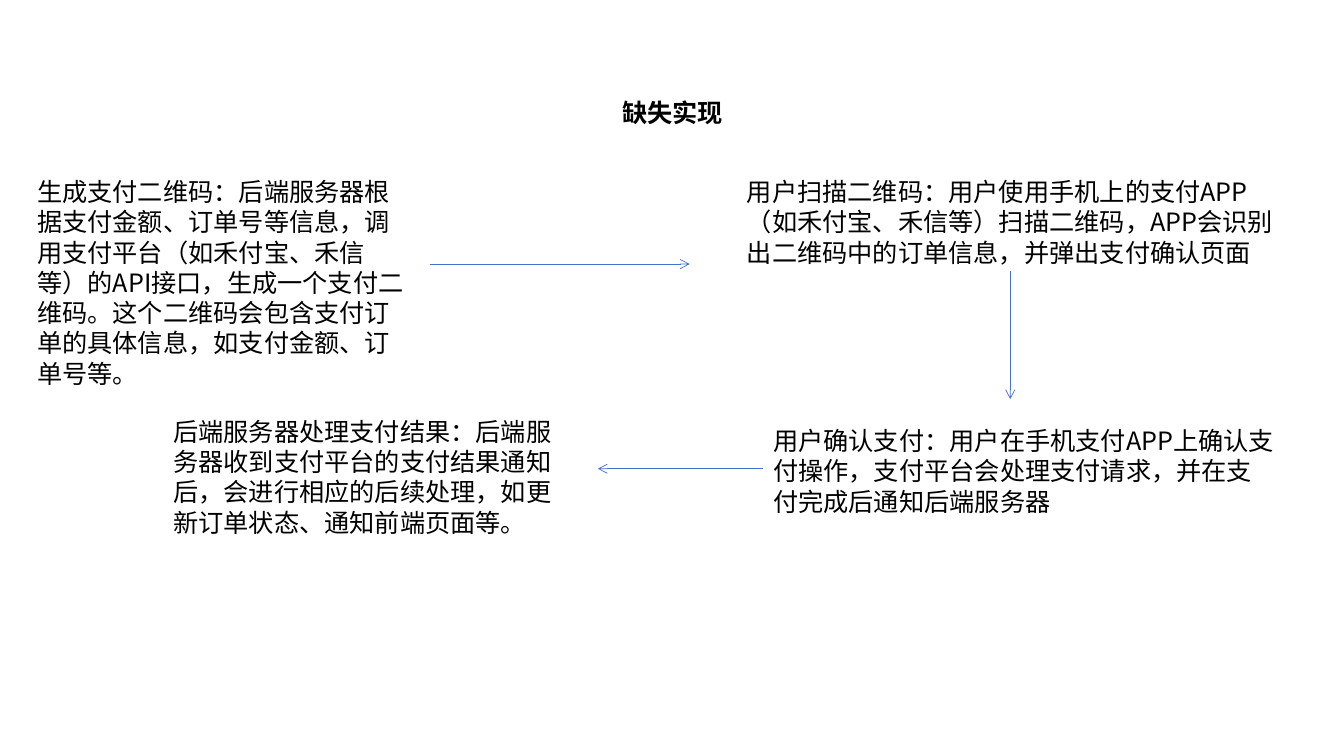
from lxml import etree
from pptx import Presentation
from pptx.dml.color import RGBColor
from pptx.enum import shapes, text
from pptx.oxml import ns
from pptx.util import Inches, Pt

FONT = "Noto Sans CJK SC"
BLACK = RGBColor(0x00, 0x00, 0x00)
BLUE = RGBColor(0x44, 0x72, 0xC4)

HEADING = ("缺失实现", (3.12, 0.9, 7.1, 0.4))

# Payment steps: wording and (left, top, width, height)
STEPS = [
    ("生成支付二维码：后端服务器根据支付金额、订单号等信息，调用支付平台（如禾付宝、禾信等）的API接口，"
     "生成一个支付二维码。这个二维码会包含支付订单的具体信息，如支付金额、订单号等。",
     (0.27, 1.68, 3.88, 1.92)),
    ("用户扫描二维码：用户使用手机上的支付APP（如禾付宝、禾信等）扫描二维码，"
     "APP会识别出二维码中的订单信息，并弹出支付确认页面",
     (7.31, 1.68, 5.43, 1.01)),
    ("用户确认支付：用户在手机支付APP上确认支付操作，支付平台会处理支付请求，"
     "并在支付完成后通知后端服务器",
     (7.57, 4.15, 5.17, 1.01)),
    ("后端服务器处理支付结果：后端服务器收到支付平台的支付结果通知后，"
     "会进行相应的后续处理，如更新订单状态、通知前端页面等。",
     (1.62, 4.06, 4.1, 1.61)),
]

# Arrows between consecutive steps: (start x, start y, end x, end y)
ARROWS = [
    (4.26, 2.62, 6.84, 2.62),
    (10.02, 2.69, 10.02, 3.96),
    (7.57, 4.65, 5.93, 4.65),
]


def write(holder, wording, size=18, bold=False, align=text.PP_ALIGN.LEFT):
    frame = holder.text_frame
    frame.word_wrap = True
    frame.auto_size = text.MSO_AUTO_SIZE.SHAPE_TO_FIT_TEXT
    frame.vertical_anchor = text.MSO_ANCHOR.TOP
    frame.margin_left = frame.margin_right = Inches(0.1)
    frame.margin_top, frame.margin_bottom = Inches(0.07), Inches(0.03)
    paragraph = frame.paragraphs[0]
    paragraph.alignment = align
    paragraph.line_spacing = Pt(size * 1.2)
    run = paragraph.add_run()
    run.text = wording
    run.font.name = FONT
    run.font.size = Pt(size)
    run.font.bold = bold
    run.font.color.rgb = BLACK
    # East Asian characters take their own font entry
    east_asian = etree.SubElement(run.font._element, ns.qn("a:ea"))
    east_asian.set("typeface", FONT)


def draw_arrow(slide, ends):
    arrow = slide.shapes.add_connector(
        shapes.MSO_CONNECTOR.STRAIGHT, *map(Inches, ends))
    arrow.line.color.rgb = BLUE
    arrow.line.width = Pt(0.5)
    tip = etree.SubElement(arrow.line._get_or_add_ln(), ns.qn("a:tailEnd"))
    tip.set("type", "arrow")
    etree.SubElement(arrow._element.spPr, ns.qn("a:effectLst"))


def main():
    deck = Presentation()
    deck.slide_width, deck.slide_height = Inches(13.33), Inches(7.5)
    slide = deck.slides.add_slide(deck.slide_layouts[5])

    # Title
    wording, box = HEADING
    title = slide.shapes.title
    title.left, title.top, title.width, title.height = map(Inches, box)
    write(title, wording, bold=True, align=text.PP_ALIGN.CENTER)

    # Steps and the arrows that link them
    for wording, box in STEPS:
        write(slide.shapes.add_textbox(*map(Inches, box)), wording)
    for ends in ARROWS:
        draw_arrow(slide, ends)

    deck.save("out.pptx")


if __name__ == "__main__":
    main()
